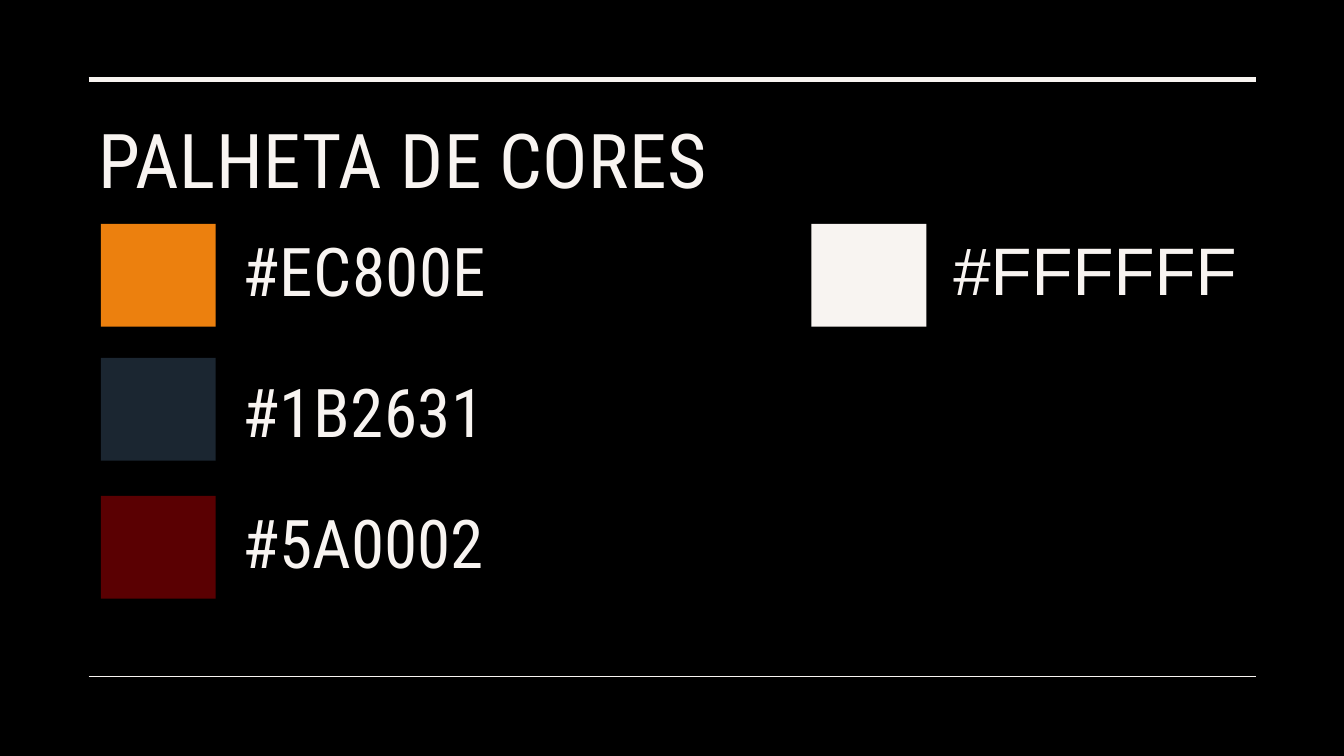
import pptx
import pptx.util
import pptx.dml.color
import pptx.enum.shapes
import pptx.enum.text
import lxml.etree

Pt = pptx.util.Pt
RGB = pptx.dml.color.RGBColor
TEXT = pptx.enum.text
BOTTOM, TOP = TEXT.MSO_ANCHOR.BOTTOM, TEXT.MSO_ANCHOR.TOP

BLACK = RGB(0x00, 0x00, 0x00)
CREAM = RGB(0xF8, 0xF4, 0xF1)
ORANGE = RGB(0xEC, 0x80, 0x0E)
NAVY = RGB(0x1B, 0x26, 0x31)
WINE = RGB(0x5A, 0x00, 0x02)
ROBOTO = "Roboto Condensed"

# Lengths in points
WIDE, HIGH = 960, 540
LEFT, RIGHT = 63.36, 897.12
TITLE = "PALHETA DE CORES"
RULES = [(56.88, 3.5), (483.12, 1)]  # y, weight
COLS = [72, 579.6]
ROWS = [159.84, 255.6, 354.24]
CHIP = (82.08, 73.44)
GAP = 12.24  # from chip to label box

# colour, column, row, text, label offset from row, width, height, format
SWATCHES = [
    (ORANGE, 0, 0, "#EC800E", 10.8, 235.44, 54,
     {"anchor": BOTTOM, "name": ROBOTO, "track": 30}),
    (NAVY, 0, 1, "#1B2631", -2.16, 235.44, 72,
     {"anchor": BOTTOM, "name": ROBOTO, "track": 30}),
    (WINE, 0, 2, "#5A0002", 0, 253.44, 65.52,
     {"anchor": TOP, "name": ROBOTO, "track": 0}),
    (CREAM, 1, 0, "#FFFFFF", 0, 235.44, 65.52,
     {"anchor": TOP, "name": "Arial", "track": 0}),
]


def write(shape, text, size, anchor, name, track):
    """Fill a shape with one line; track is letter spacing in 1/100 pt."""
    frame = shape.text_frame
    look = {"word_wrap": True, "auto_size": TEXT.MSO_AUTO_SIZE.NONE,
            "vertical_anchor": anchor}
    for key, value in look.items():
        setattr(frame, key, value)
    para = frame.paragraphs[0]
    para.alignment = TEXT.PP_ALIGN.LEFT
    run = para.add_run()
    run.text = text
    for key, value in {"name": name, "size": Pt(size)}.items():
        setattr(run.font, key, value)
    run.font.color.rgb = CREAM
    if track:
        run._r.get_or_add_rPr().set("spc", str(track))


def rule(slide, y, weight):
    line = slide.shapes.add_connector(
        pptx.enum.shapes.MSO_CONNECTOR.STRAIGHT,
        Pt(LEFT), Pt(y), Pt(RIGHT), Pt(y))
    line.line.color.rgb = CREAM
    line.line.width = Pt(weight)
    props = line._element.spPr
    lxml.etree.SubElement(props, pptx.oxml.ns.qn("a:effectLst"))


def chip(slide, x, y, color):
    box = slide.shapes.add_shape(
        pptx.enum.shapes.MSO_SHAPE.RECTANGLE,
        Pt(x), Pt(y), *map(Pt, CHIP))
    box.shadow.inherit = False
    box.fill.solid()
    box.fill.fore_color.rgb = color
    box.line.fill.background()


def main():
    deck = pptx.Presentation()
    deck.slide_width, deck.slide_height = Pt(WIDE), Pt(HIGH)
    slide = deck.slides.add_slide(deck.slide_layouts[5])
    fill = slide.background.fill
    fill.solid()
    fill.fore_color.rgb = BLACK

    title = slide.shapes.title
    place = {"left": LEFT, "top": 75.6, "width": 540.72, "height": 73.44}
    for key, value in place.items():
        setattr(title, key, Pt(value))
    write(title, TITLE, 54, BOTTOM, ROBOTO, 30)

    for y, weight in RULES:
        rule(slide, y, weight)

    for color, col, row, text, shift, width, height, form in SWATCHES:
        x, y = COLS[col], ROWS[row]
        chip(slide, x, y, color)
        label = slide.shapes.add_textbox(
            Pt(x + CHIP[0] + GAP), Pt(y + shift), Pt(width), Pt(height))
        write(label, text, 48, **form)

    deck.save("out.pptx")


if __name__ == "__main__":
    main()
